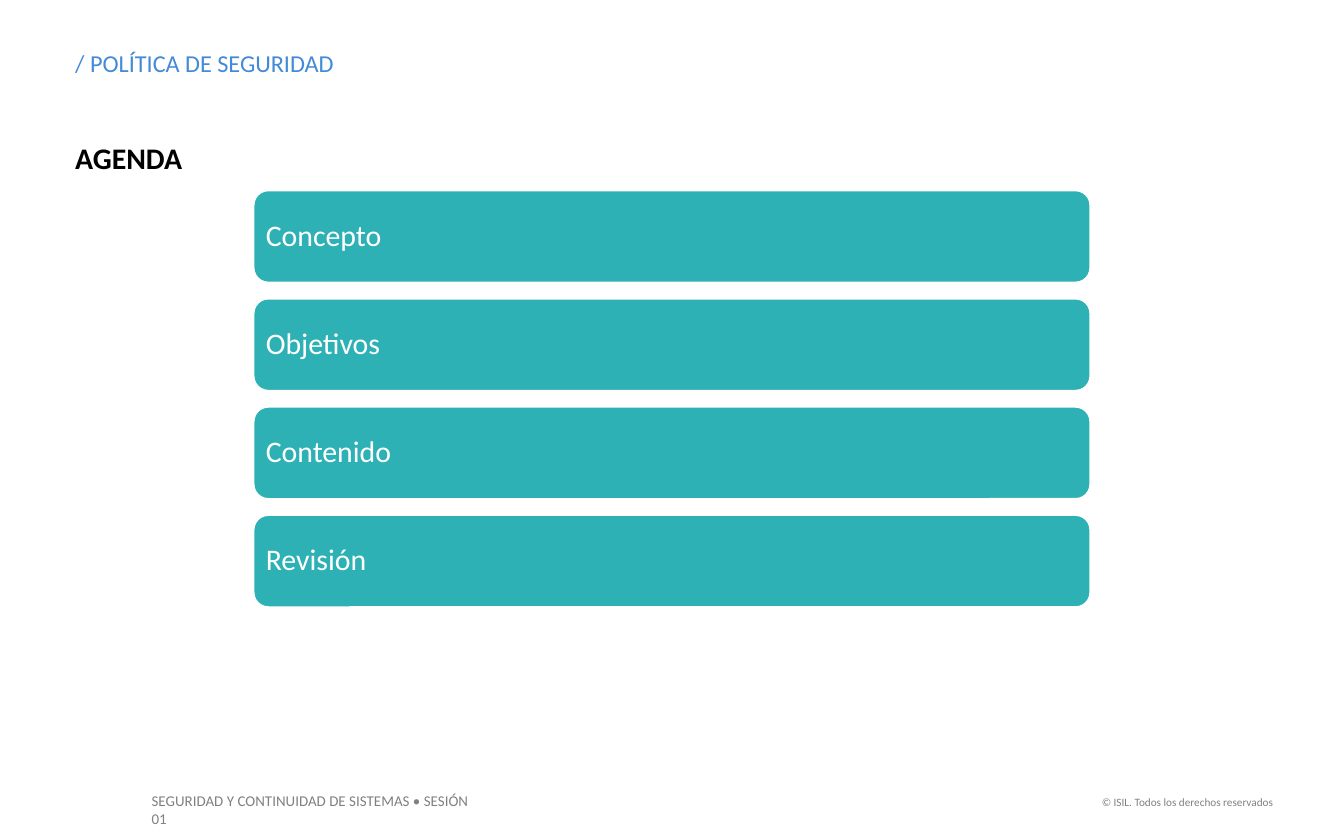
from pptx import Presentation
from pptx import util as u
from pptx.dml.color import RGBColor
from pptx.enum import shapes, text

PX = u.Inches(1) // 200  # 200 px to the inch
FONT = "Calibri"
BLUE = RGBColor(0x43, 0x8A, 0xD7)
TEAL = RGBColor(0x2E, 0xB1, 0xB5)
GREY = RGBColor(0x80, 0x80, 0x80)
BLACK = RGBColor(0, 0, 0)
WHITE = RGBColor(0xFF, 0xFF, 0xFF)

TOPICS = ["Concepto", "Objetivos", "Contenido", "Revisión"]


def emu(*lengths):
    return [length * PX for length in lengths]


def write(shape, words, size, color, margins=(0, 0), bold=False,
          align=text.PP_ALIGN.LEFT, anchor=text.MSO_ANCHOR.TOP):
    """Put one formatted paragraph in a shape; margins are (side, top and bottom)."""
    frame = shape.text_frame
    frame.word_wrap = True
    frame.auto_size = text.MSO_AUTO_SIZE.NONE
    frame.vertical_anchor = anchor
    side, edge = emu(*margins)
    frame.margin_left = frame.margin_right = side
    frame.margin_top = frame.margin_bottom = edge
    para = frame.paragraphs[0]
    para.text = words
    para.alignment = align
    para.font.name = FONT
    para.font.size = u.Pt(size)
    para.font.bold = bold
    para.font.color.rgb = color
    return para


def add_heading(page, left, top, width):
    # Section title
    title = page.shapes.title
    title.left, title.top, title.width, title.height = emu(left, top, width, 44)
    write(title, "/ POLÍTICA DE SEGURIDAD", 13, BLUE)
    # Subtitle
    box = page.shapes.add_textbox(*emu(left, top + 136, width, 54))
    write(box, "AGENDA", 16, BLACK, bold=True)


def add_agenda(page, left, top, width, bar_height, pitch):
    for index, topic in enumerate(TOPICS):
        bar = page.shapes.add_shape(
            shapes.MSO_SHAPE.ROUNDED_RECTANGLE,
            *emu(left, top + index * pitch, width, bar_height))
        bar.shadow.inherit = False
        bar.fill.solid()
        bar.fill.fore_color.rgb = TEAL
        bar.line.color.rgb = WHITE
        bar.line.width = u.Pt(2)
        para = write(bar, topic, 16, WHITE, margins=(13, 14),
                     anchor=text.MSO_ANCHOR.MIDDLE)
        para.line_spacing = 0.9


def add_footer(page, left, top, width):
    # Course and session
    course = page.shapes.add_textbox(*emu(left, top, 528, 48))
    write(course, "SEGURIDAD Y CONTINUIDAD DE SISTEMAS • SESIÓN 01", 8, GREY,
          margins=(20, 10))
    # Copyright line
    rights = page.shapes.add_textbox(*emu(left + width - 300, top + 6, 300, 40))
    write(rights, "© ISIL. Todos los derechos reservados", 6, GREY,
          margins=(20, 10), align=text.PP_ALIGN.RIGHT)


def main():
    deck = Presentation()
    deck.slide_width, deck.slide_height = emu(2000, 1250)
    page = deck.slides.add_slide(deck.slide_layouts.get_by_name("Title Only"))
    add_heading(page, 112, 72, 1786)
    add_agenda(page, 376, 282, 1248, 140, 161)
    add_footer(page, 206, 1168, 1708)
    deck.save("out.pptx")


if __name__ == "__main__":
    main()
